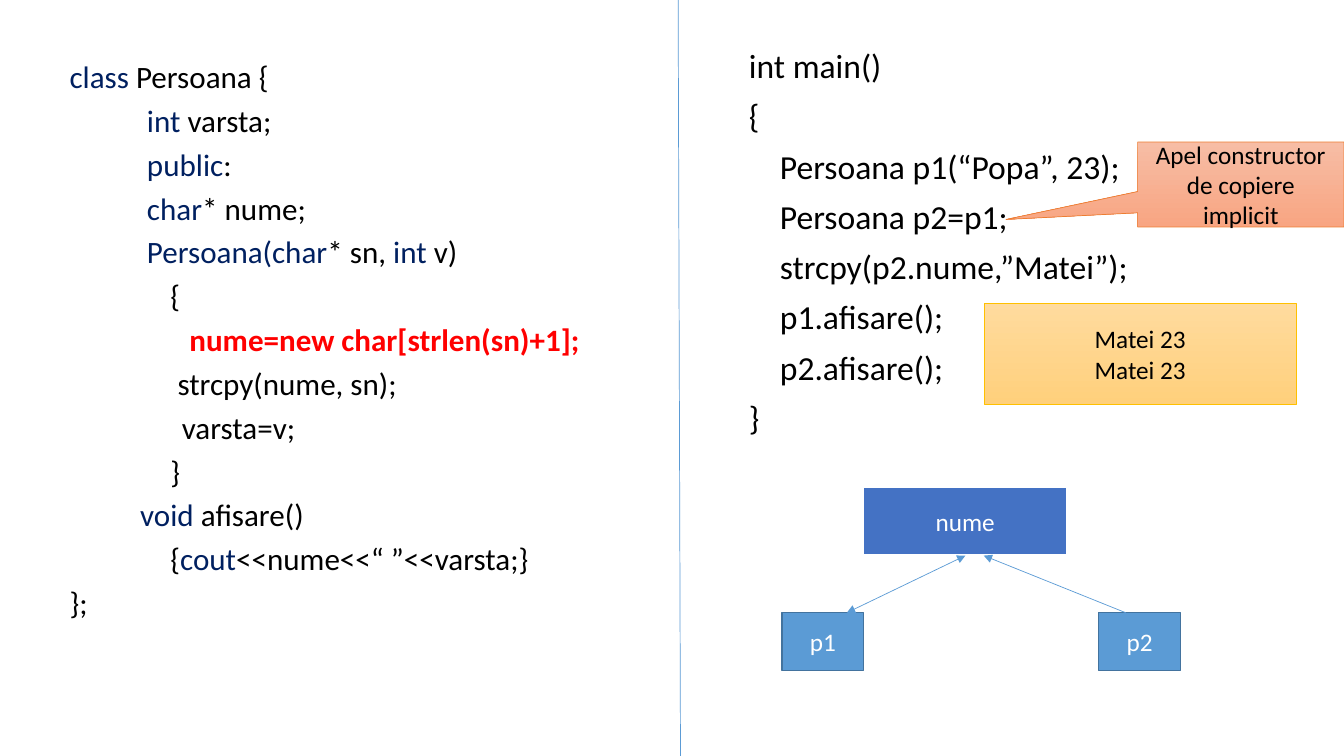
from lxml import etree
from pptx import Presentation, util as u
from pptx.dml import color as dml
from pptx.enum import shapes, text
from pptx.oxml import ns

NAVY, BLACK, RED, WHITE, BLUE = "002060", "000000", "FF0000", "FFFFFF", "5B9BD5"


def rgb(code):
    """Turn a hex string into a colour."""
    return dml.RGBColor.from_string(code)


def write(frame, lines, size, paragraph_format):
    """Fill a text frame with lines, each an indent in cm and coloured pieces."""
    frame.word_wrap = True
    for number, (indent, pieces) in enumerate(lines):
        paragraph = frame.paragraphs[0] if number == 0 else frame.add_paragraph()
        for name, value in paragraph_format.items():
            setattr(paragraph, name, value)
        properties = paragraph._p.get_or_add_pPr()
        properties.set("marL", str(int(u.Cm(indent))))
        properties.set("indent", "0")
        etree.SubElement(properties, ns.qn("a:buNone"))
        for words, code in pieces:
            run = paragraph.add_run()
            run.text = words
            font_format = {"name": "Calibri", "size": u.Pt(size), "bold": code == RED}
            for name, value in font_format.items():
                setattr(run.font, name, value)
            run.font.color.rgb = rgb(code)


presentation = Presentation()
presentation.slide_width = u.Cm(33.87)
presentation.slide_height = u.Cm(19.05)
slide = presentation.slides.add_slide(presentation.slide_layouts[3])
title = slide.shapes.title.element
title.getparent().remove(title)

# Code columns
class_lines = [
    (0, [("class ", NAVY), ("Persoana {", BLACK)]),
    (1.95, [("int ", NAVY), ("varsta;", BLACK)]),
    (1.95, [("public", NAVY), (":", BLACK)]),
    (1.95, [("char", NAVY), ("* nume;", BLACK)]),
    (1.95, [("Persoana(char", NAVY), ("* sn, ", BLACK), ("int", NAVY), (" v)", BLACK)]),
    (2.54, [("{", BLACK)]),
    (3.02, [("nume=new char[strlen(sn)+1];", RED)]),
    (2.72, [("strcpy(nume, sn);", BLACK)]),
    (2.83, [("varsta=v;", BLACK)]),
    (2.54, [("}", BLACK)]),
    (1.78, [("void ", NAVY), ("afisare()", BLACK)]),
    (2.54, [("{", BLACK), ("cout", NAVY), ("<<nume<<“ ”<<varsta;}", BLACK)]),
    (0, [("};", BLACK)]),
]
main_lines = [
    (indent, [(words, BLACK)])
    for indent, words in [
        (0, "int main()"),
        (0, "{"),
        (0.78, "Persoana p1(“Popa”, 23);"),
        (0.78, "Persoana p2=p1;"),
        (0.78, "strcpy(p2.nume,”Matei”);"),
        (0.78, "p1.afisare();"),
        (0.78, "p2.afisare();"),
        (0, "}"),
    ]
]
columns = [
    (1, (1.5, 1.5, 19.02, 16.18), class_lines, 22.2, 0.8),
    (2, (18.62, 1.12, 14.02, 17.93), main_lines, 24, 0.9),
]
for index, box, lines, size, spacing in columns:
    body = slide.placeholders[index]
    for name, value in zip(("left", "top", "width", "height"), box):
        setattr(body, name, u.Cm(value))
    body.text_frame.auto_size = text.MSO_AUTO_SIZE.NONE
    body.text_frame.vertical_anchor = text.MSO_ANCHOR.TOP
    write(body.text_frame, lines, size, {
        "alignment": text.PP_ALIGN.LEFT,
        "line_spacing": spacing,
        "space_before": u.Pt(10),
        "space_after": u.Pt(0),
    })

# Callout, output panel and memory boxes
RECTANGLE = shapes.MSO_SHAPE.RECTANGLE
CALLOUT = shapes.MSO_SHAPE.RECTANGULAR_CALLOUT
boxes = [
    (CALLOUT, (28.67, 3.58, 5.2, 2.14), ("F7BDA5", "F8A582"), "ED7D31", 0.5, BLACK,
     ["Apel constructor de copiere implicit"]),
    (RECTANGLE, (24.8, 7.65, 7.87, 2.54), ("FFDB9E", "FFD07C"), "FFC000", 0.5, BLACK,
     ["Matei 23", "Matei 23"]),
    (RECTANGLE, (21.76, 12.27, 5.13, 1.72), ("4472C4",), WHITE, 1.5, WHITE, ["nume"]),
    (RECTANGLE, (19.71, 15.44, 2.06, 1.45), (BLUE,), "43739E", 1, WHITE, ["p1"]),
    (RECTANGLE, (27.69, 15.44, 2.06, 1.45), (BLUE,), "43739E", 1, WHITE, ["p2"]),
]
for kind, box, fills, outline, width, ink, labels in boxes:
    shape = slide.shapes.add_shape(kind, *map(u.Cm, box))
    shape.shadow.inherit = False
    if len(fills) == 2:
        shape.fill.gradient()
        shape.fill.gradient_angle = 270
        for stop, code in zip(shape.fill.gradient_stops, fills):
            stop.color.rgb = rgb(code)
    else:
        shape.fill.solid()
        shape.fill.fore_color.rgb = rgb(fills[0])
    shape.line.color.rgb = rgb(outline)
    shape.line.width = u.Pt(width)
    if kind == CALLOUT:
        shape.adjustments[0], shape.adjustments[1] = -1.138, 0.412
    shape.text_frame.vertical_anchor = text.MSO_ANCHOR.MIDDLE
    write(shape.text_frame, [(0, [(label, ink)]) for label in labels], 18,
          {"alignment": text.PP_ALIGN.CENTER})

# Column divider and pointer arrows
connectors = [
    ((17.09, 0, 17.15, 19.05), []),
    ((21.34, 15.44, 24.33, 14), ["a:headEnd", "a:tailEnd"]),
    ((28.37, 15.44, 24.79, 14), ["a:tailEnd"]),
]
for ends, arrowheads in connectors:
    connector = slide.shapes.add_connector(shapes.MSO_CONNECTOR.STRAIGHT, *map(u.Cm, ends))
    connector.line.color.rgb = rgb(BLUE)
    connector.line.width = u.Pt(0.5)
    for arrowhead in arrowheads:
        etree.SubElement(connector.line._get_or_add_ln(), ns.qn(arrowhead), type="triangle")
    etree.SubElement(connector._element.spPr, ns.qn("a:effectLst"))

presentation.save("out.pptx")
